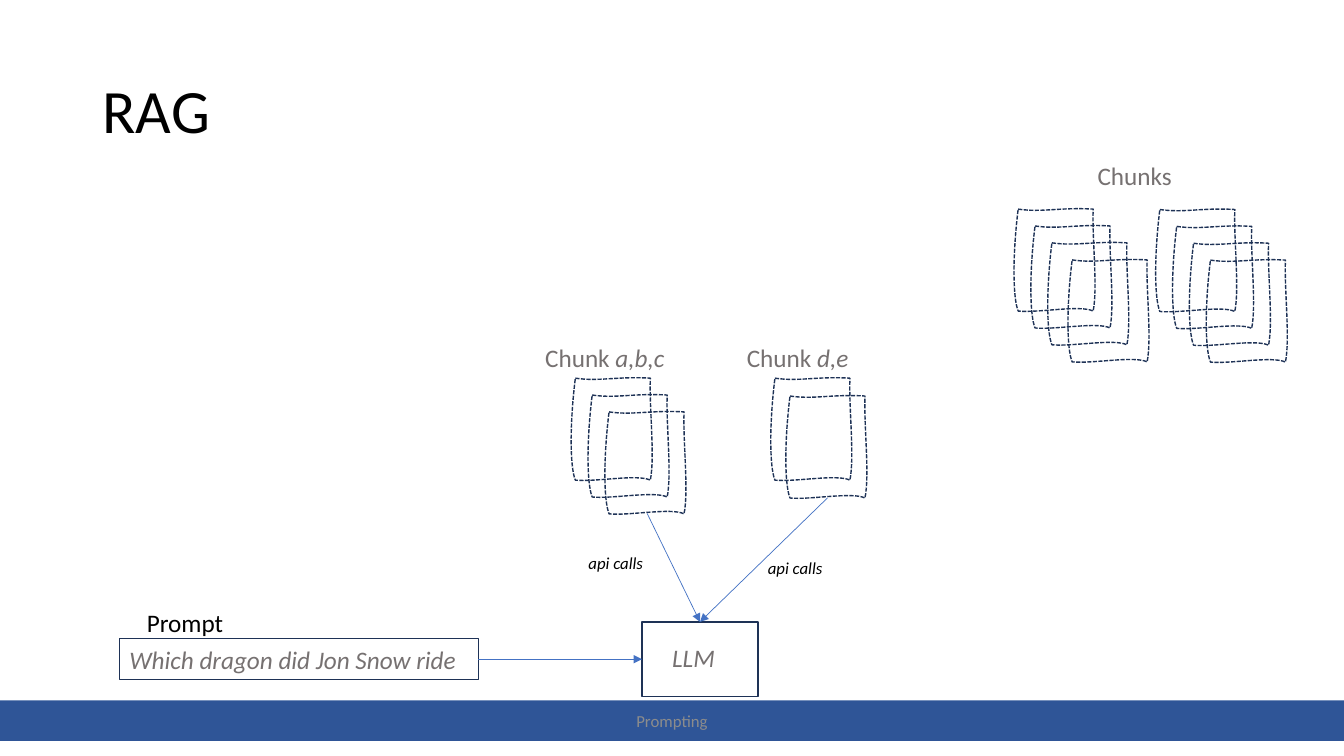
"""Build the RAG slide: chunks and a prompt feeding a language model."""
from dataclasses import dataclass

import lxml.etree
import pptx
import pptx.dml.color
import pptx.enum.dml
import pptx.enum.shapes
import pptx.enum.text
import pptx.oxml.ns
import pptx.util

Cm = pptx.util.Cm
Pt = pptx.util.Pt
RGB = pptx.dml.color.RGBColor.from_string
qn = pptx.oxml.ns.qn


@dataclass(frozen=True)
class Theme:
    font: str = "Calibri"
    black: str = "000000"
    grey: str = "767171"
    footer_text: str = "8C8C8C"
    footer_fill: str = "2F5597"
    outline: str = "1E3256"
    arrow: str = "4472C4"
    title_size: float = 44
    label_size: float = 18
    small_size: float = 12


theme = Theme()

TITLE = "RAG"
FOOTER = "Prompting"
QUESTION = "Which dragon did Jon Snow ride"
LABELS = [
    ((13.49, 8.51, 3.81, 1.02), [("Chunk ", False), ("a,b,c", True)], theme.label_size, theme.grey),
    ((18.57, 8.51, 3.81, 1.02), [("Chunk ", False), ("d,e", True)], theme.label_size, theme.grey),
    ((3.45, 15.19, 2.62, 1.02), [("Prompt", False)], theme.label_size, theme.black),
    ((16.69, 16.05, 1.88, 1.02), [("LLM", True)], theme.label_size, theme.grey),
    ((27.41, 3.91, 2.84, 1.02), [("Chunks", False)], theme.label_size, theme.grey),
    ((14.58, 13.8, 2.62, 0.76), [("api calls", True)], theme.small_size, theme.black),
    ((19.1, 13.92, 2.62, 0.76), [("api calls", True)], theme.small_size, theme.black),
]
STACKS = [
    (29.23, 5.28, 4),
    (25.66, 5.27, 3),
    (27.02, 6.55, 1),
    (14.5, 9.53, 3),
    (19.53, 9.53, 1),
    (19.91, 9.98, 1),
]
STACK_STEP = 0.425
PAGE_CURVES = [
    ((0.6, 0.09), (1.05, -0.05), (1.89, 0)),
    ((1.86, 0.76), (2.01, 1.96), (1.89, 2.57)),
    ((1.56, 2.41), (0.52, 2.62), (0, 2.57)),
    ((-0.14, 2.23), (-0.14, 1.12), (0, 0)),
]
CHUNK_ARROW_STARTS = [(16.31, 12.94), (20.85, 12.55)]
QUESTION_BOX = (3.01, 16.1, 9.04, 1.02)
LLM_BOX = (16.18, 15.67, 2.92, 1.88)
TITLE_BOX = (2.33, 1.01, 29.21, 3.68)
FOOTER_BOX = (0, 17.65, 33.87, 1.02)


def lengths(values):
    return [Cm(value) for value in values]


def style_font(paragraph, size, color):
    paragraph.font.name = theme.font
    paragraph.font.size = Pt(size)
    paragraph.font.color.rgb = RGB(color)


def style_outline(shape, width):
    shape.shadow.inherit = False
    shape.fill.background()
    shape.line.color.rgb = RGB(theme.outline)
    shape.line.width = Pt(width)


def add_box(slide, box):
    return slide.shapes.add_shape(pptx.enum.shapes.MSO_SHAPE.RECTANGLE, *lengths(box))


def add_page(slide, left, top):
    corners = [(Cm(left + x), Cm(top + y)) for *_, (x, y) in PAGE_CURVES]
    builder = slide.shapes.build_freeform(*corners[-1])
    builder.add_line_segments(corners, close=True)
    page = builder.convert_to_shape()
    style_outline(page, 1)
    page.line.dash_style = pptx.enum.dml.MSO_LINE.SQUARE_DOT
    sides = list(page._element.iter(qn("a:lnTo")))
    for side, curve in zip(sides, PAGE_CURVES):
        bend = lxml.etree.Element(qn("a:cubicBezTo"))
        for x, y in curve:
            lxml.etree.SubElement(bend, qn("a:pt"), x=str(int(Cm(x))), y=str(int(Cm(y))))
        side.getparent().replace(side, bend)


def add_label(slide, box, runs, size, color):
    label = slide.shapes.add_textbox(*lengths(box))
    label.text_frame.word_wrap = True
    paragraph = label.text_frame.paragraphs[0]
    style_font(paragraph, size, color)
    for text, italic in runs:
        run = paragraph.add_run()
        run.text = text
        run.font.italic = italic


def add_arrow(slide, start, target, side):
    arrow = slide.shapes.add_connector(
        pptx.enum.shapes.MSO_CONNECTOR.STRAIGHT, *lengths(start), 0, 0)
    arrow.end_connect(target, side)
    arrow.line.color.rgb = RGB(theme.arrow)
    arrow.line.width = Pt(0.5)
    properties = arrow._element.spPr
    lxml.etree.SubElement(properties.find(qn("a:ln")), qn("a:tailEnd"), type="triangle")
    lxml.etree.SubElement(properties, qn("a:effectLst"))
    return arrow


def add_title(slide):
    title = slide.shapes.title
    title.left, title.top, title.width, title.height = lengths(TITLE_BOX)
    title.text = TITLE
    title.text_frame.vertical_anchor = pptx.enum.text.MSO_ANCHOR.MIDDLE
    paragraph = title.text_frame.paragraphs[0]
    paragraph.alignment = pptx.enum.text.PP_ALIGN.LEFT
    paragraph.line_spacing = 0.9
    style_font(paragraph, theme.title_size, theme.black)


def add_footer(slide):
    footer = add_box(slide, FOOTER_BOX)
    footer.shadow.inherit = False
    footer.fill.solid()
    footer.fill.fore_color.rgb = RGB(theme.footer_fill)
    footer.line.fill.background()
    footer.text_frame.text = FOOTER
    paragraph = footer.text_frame.paragraphs[0]
    paragraph.alignment = pptx.enum.text.PP_ALIGN.CENTER
    style_font(paragraph, theme.small_size, theme.footer_text)


def add_question(slide):
    question = add_box(slide, QUESTION_BOX)
    style_outline(question, 0.75)
    question.text_frame.text = QUESTION
    question.text_frame.vertical_anchor = pptx.enum.text.MSO_ANCHOR.TOP
    paragraph = question.text_frame.paragraphs[0]
    paragraph.alignment = pptx.enum.text.PP_ALIGN.LEFT
    style_font(paragraph, theme.label_size, theme.grey)
    paragraph.font.italic = True
    return question


def main():
    presentation = pptx.Presentation()
    presentation.slide_width, presentation.slide_height = lengths((33.87, 19.05))
    slide = presentation.slides.add_slide(presentation.slide_layouts[5])
    add_footer(slide)
    add_title(slide)
    for left, top, count in STACKS:
        for index in range(count):
            offset = index * STACK_STEP
            add_page(slide, left + offset, top + offset)
    for label in LABELS:
        add_label(slide, *label)
    question = add_question(slide)
    llm = add_box(slide, LLM_BOX)
    style_outline(llm, 1)
    for start in CHUNK_ARROW_STARTS:
        add_arrow(slide, start, llm, 0)
    add_arrow(slide, (0, 0), llm, 1).begin_connect(question, 3)
    presentation.save("out.pptx")


if __name__ == "__main__":
    main()
